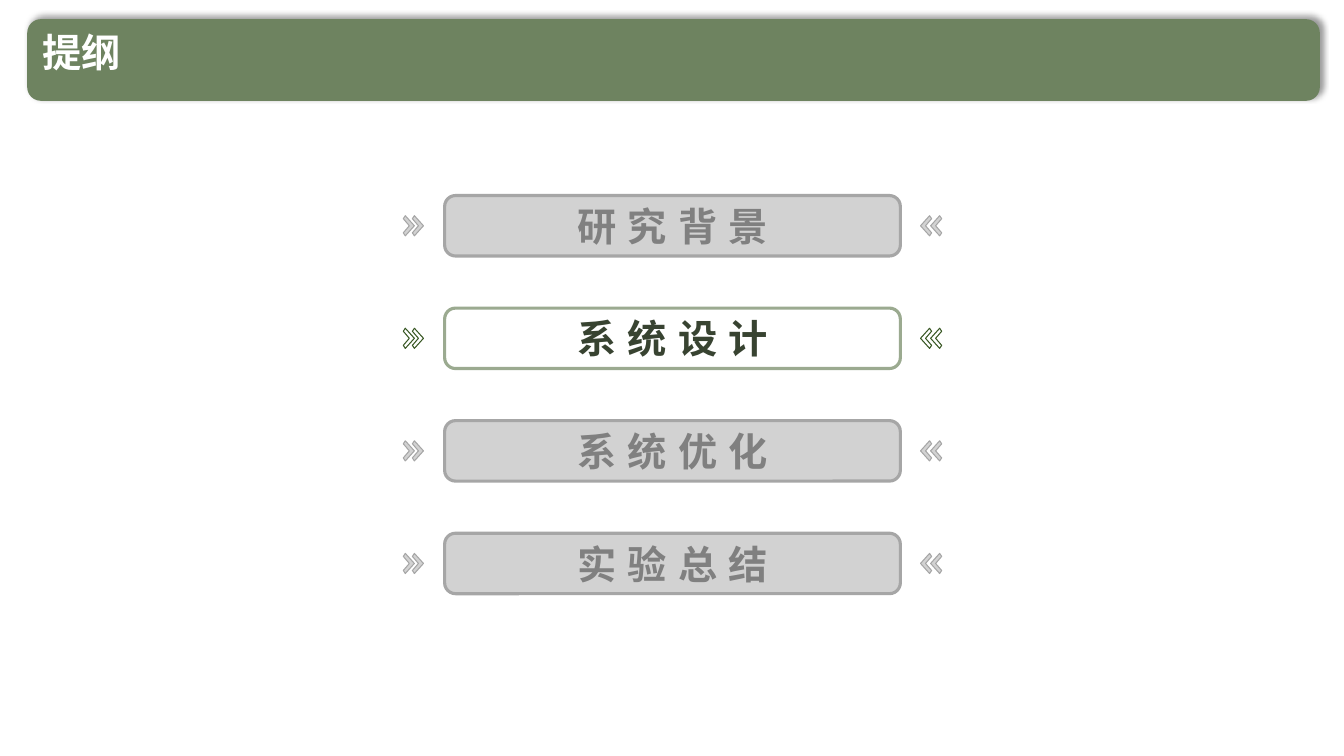
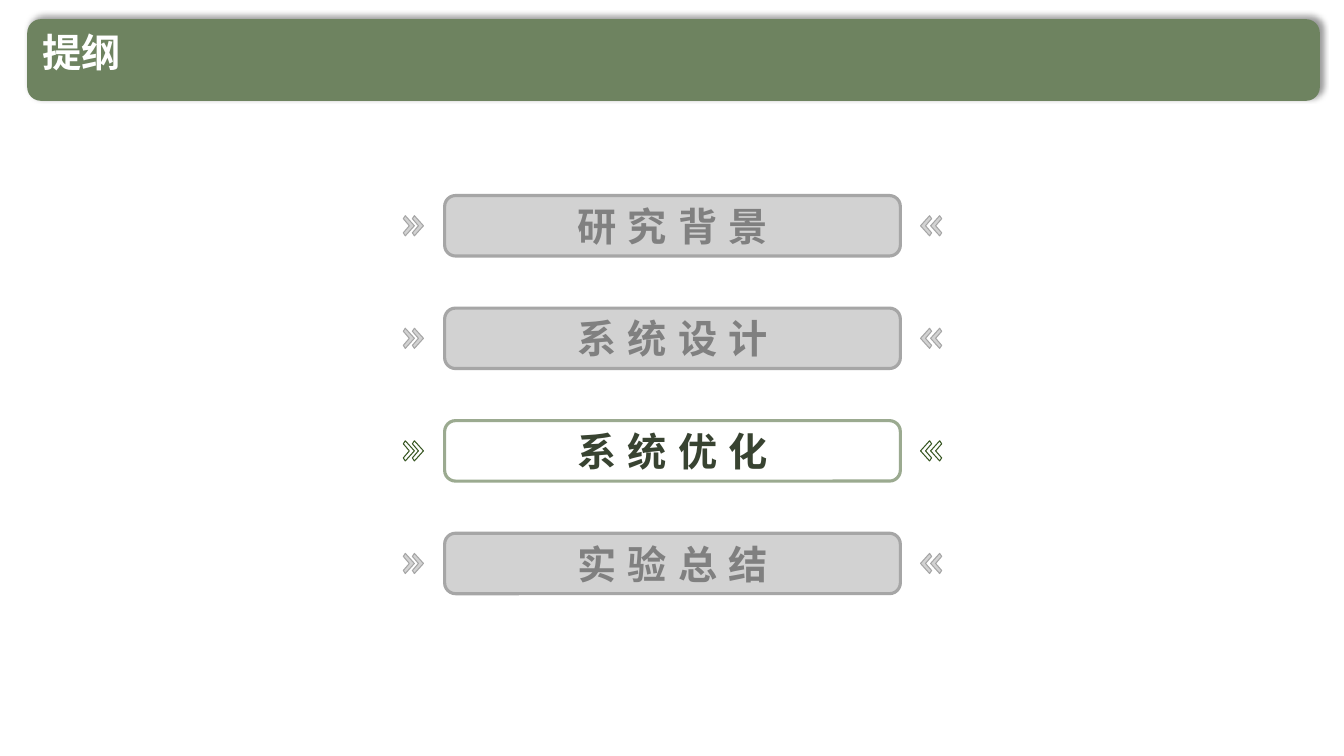
"""Build the agenda slides, each highlighting the section that comes next."""

from dataclasses import dataclass

from lxml import etree
from pptx import Presentation
from pptx.dml.color import RGBColor
from pptx.enum.shapes import MSO_SHAPE
from pptx.enum.text import MSO_ANCHOR, PP_ALIGN
from pptx.oxml.ns import qn
from pptx.shapes.autoshape import Shape
from pptx.shapes.group import GroupShape
from pptx.slide import Slide
from pptx.text.text import TextFrame
from pptx.util import Inches, Pt

ROUNDED = MSO_SHAPE.ROUNDED_RECTANGLE
MIDDLE, TOP = MSO_ANCHOR.MIDDLE, MSO_ANCHOR.TOP
CENTER, LEFT = PP_ALIGN.CENTER, PP_ALIGN.LEFT

BAND_GREEN = RGBColor(0x6E, 0x83, 0x60)
FRAME_GREEN = RGBColor(0x9B, 0xAA, 0x90)
CHEVRON_GREEN = RGBColor(0x38, 0x57, 0x23)
TEXT_GREEN = RGBColor(0x38, 0x43, 0x31)
MUTED_GRAY = RGBColor(0xA6, 0xA6, 0xA6)
TEXT_GRAY = RGBColor(0x80, 0x80, 0x80)
WHITE = RGBColor(0xFF, 0xFF, 0xFF)

FONT = "Noto Sans CJK SC"
TITLE = "提纲"
SECTIONS = ("研究背景", "系统设计", "系统优化", "实验总结")
HIGHLIGHTED_SECTIONS = ("系统设计", "系统优化")

FIRST_TOP, LAST_TOP = 1.94, 5.29
ROW_PITCH = (LAST_TOP - FIRST_TOP) / (len(SECTIONS) - 1)
CHEVRON_OFFSET = 0.2
CHEVRON_OUTLINE = ((0.02, 0), (0, 0.03), (0.06, 0.1), (0, 0.17), (0.02, 0.2), (0.11, 0.1))
CHEVRON_STARTS = ((4.0, 1), (4.09, 1), (9.34, -1), (9.24, -1))


@dataclass(frozen=True)
class SectionStyle:
    """Colours of one agenda row."""

    frame: RGBColor
    chevron: RGBColor
    text: RGBColor
    fill: RGBColor | None = None


MUTED = SectionStyle(MUTED_GRAY, MUTED_GRAY, TEXT_GRAY, MUTED_GRAY)
ACTIVE = SectionStyle(FRAME_GREEN, CHEVRON_GREEN, TEXT_GREEN)


def paint(shape: Shape, fill: RGBColor | None, line: RGBColor, width: float) -> None:
    """Give a shape an outline and a half-transparent fill, or none."""
    shape.shadow.inherit = False
    if fill is None:
        shape.fill.background()
    else:
        shape.fill.solid()
        shape.fill.fore_color.rgb = fill
        color = next(shape.element.iter(qn("a:srgbClr")))
        etree.SubElement(color, qn("a:alpha"), val="50000")
    shape.line.color.rgb = line
    shape.line.width = Pt(width)


def write(frame: TextFrame, text: str, color: RGBColor, anchor: MSO_ANCHOR,
          alignment: PP_ALIGN, spacing: int = 0) -> None:
    """Write one bold line, with letter spacing in points."""
    frame.word_wrap = True
    frame.vertical_anchor = anchor
    paragraph = frame.paragraphs[0]
    paragraph.alignment = alignment
    run = paragraph.add_run()
    run.text = text
    for name, value in {"name": FONT, "size": Pt(28), "bold": True}.items():
        setattr(run.font, name, value)
    run.font.color.rgb = color
    properties = run.font._element
    properties.set("spc", str(spacing * 100))
    etree.SubElement(properties, qn("a:ea"), typeface=FONT)


def add_title_band(slide: Slide) -> None:
    """Draw the shadowed band behind the title."""
    band = slide.shapes.add_shape(
        ROUNDED, Inches(0.27), Inches(0.19), Inches(12.82), Inches(0.81))
    band.fill.solid()
    band.fill.fore_color.rgb = BAND_GREEN
    band.line.fill.background()
    band.shadow.inherit = False
    effects = band.element.spPr.find(qn("a:effectLst"))
    shadow = etree.SubElement(
        effects, qn("a:outerShdw"), blurRad=str(Pt(4)), dist=str(Pt(3)),
        dir=str(315 * 60000), algn="bl", rotWithShape="0")
    color = etree.SubElement(shadow, qn("a:srgbClr"), val="000000")
    etree.SubElement(color, qn("a:alpha"), val="40000")


def add_title(slide: Slide) -> None:
    """Write the title on the band."""
    title = slide.shapes.add_textbox(
        Inches(0.32), Inches(0.28), Inches(11.07), Inches(0.62))
    write(title.text_frame, TITLE, WHITE, TOP, LEFT)
    title.text_frame.paragraphs[0].line_spacing = 0.9


def add_chevron(group: GroupShape, start: float, top: float, direction: int,
                style: SectionStyle) -> None:
    """Draw a chevron pointing right (1) or left (-1)."""
    points = [(Inches(start + direction * x), Inches(top + y)) for x, y in CHEVRON_OUTLINE]
    builder = group.shapes.build_freeform(*points[0])
    builder.add_line_segments(points[1:], close=True)
    paint(builder.convert_to_shape(), style.fill, style.chevron, 0.75)


def add_section(slide: Slide, name: str, top: float, style: SectionStyle) -> None:
    """Draw one agenda row: a framed name between pairs of chevrons."""
    group = slide.shapes.add_group_shape()
    for start, direction in CHEVRON_STARTS:
        add_chevron(group, start, top + CHEVRON_OFFSET, direction, style)
    frame = group.shapes.add_shape(
        ROUNDED, Inches(4.41), Inches(top), Inches(4.52), Inches(0.6))
    frame.adjustments[0] = 0.18
    paint(frame, style.fill, style.frame, 2.25)
    write(frame.text_frame, name, style.text, MIDDLE, CENTER, spacing=8)


def add_agenda_slide(presentation: Presentation, highlighted: str) -> None:
    """Add an agenda slide with one section highlighted."""
    slide = presentation.slides.add_slide(presentation.slide_layouts[6])
    add_title_band(slide)
    for index, name in enumerate(SECTIONS):
        style = ACTIVE if name == highlighted else MUTED
        add_section(slide, name, FIRST_TOP + index * ROW_PITCH, style)
    add_title(slide)


def main() -> None:
    """Build and save the presentation."""
    presentation = Presentation()
    presentation.slide_width = Inches(13.33)
    presentation.slide_height = Inches(7.5)
    for highlighted in HIGHLIGHTED_SECTIONS:
        add_agenda_slide(presentation, highlighted)
    presentation.save("out.pptx")


if __name__ == "__main__":
    main()
